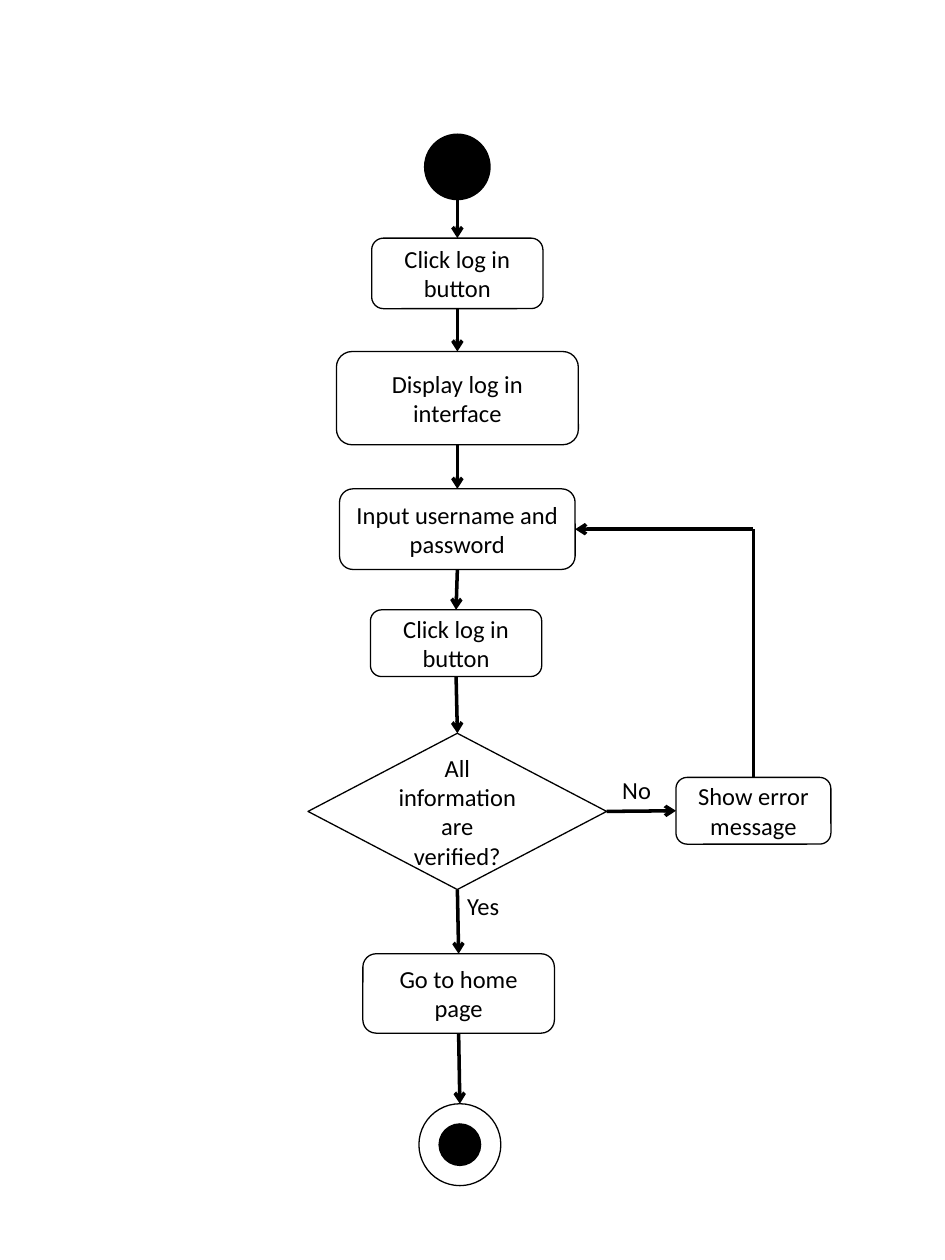
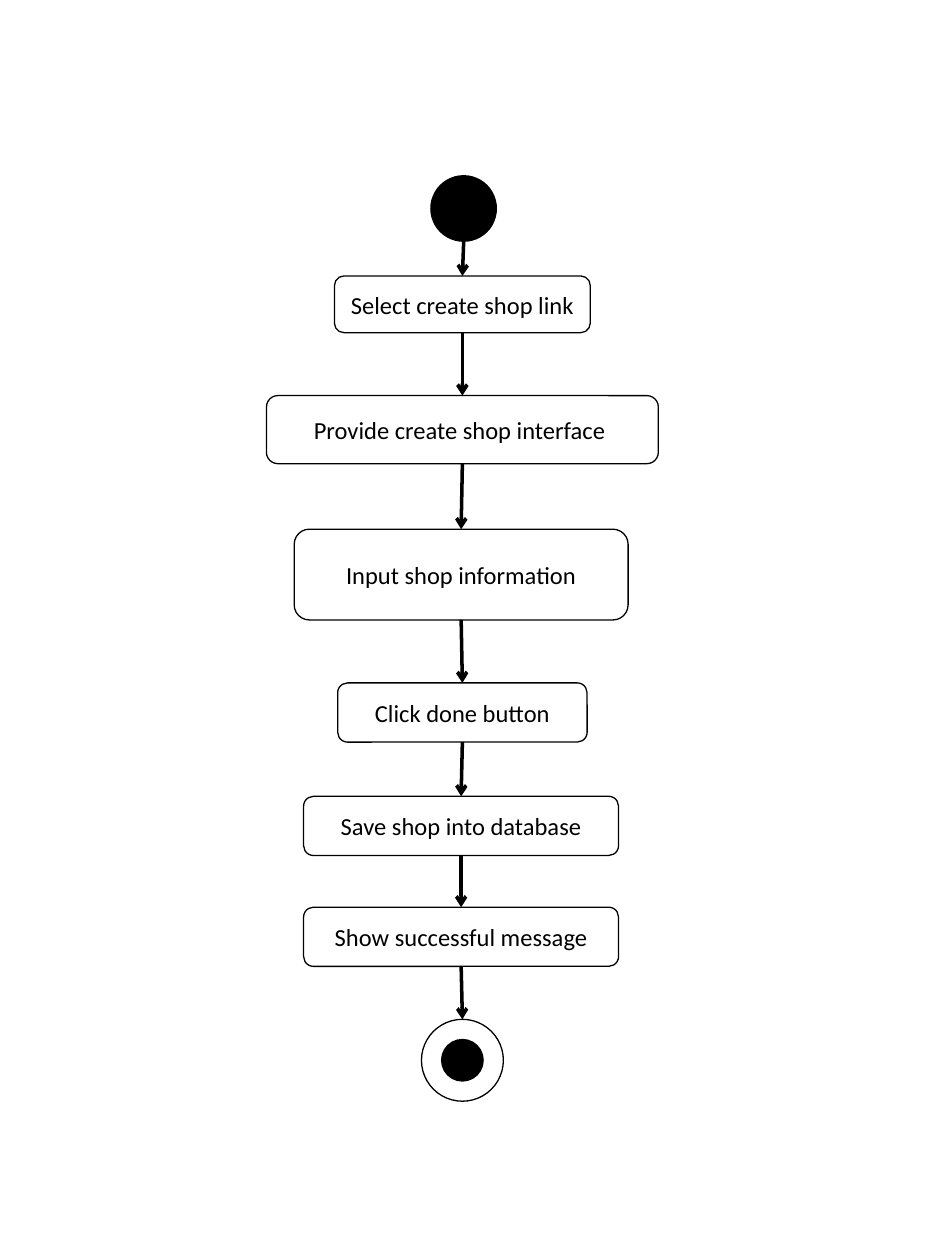
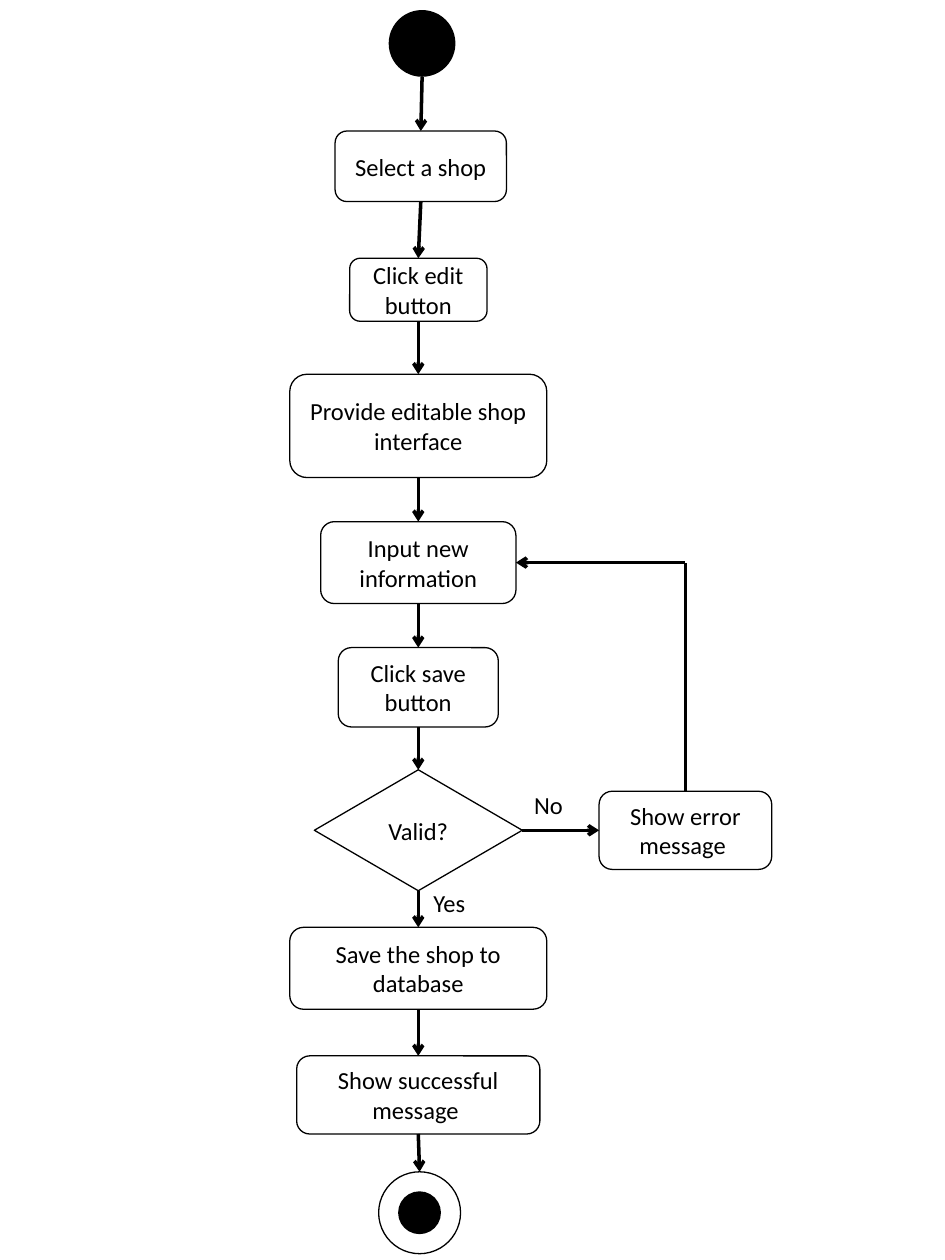
from dataclasses import dataclass

from lxml.etree import SubElement
from pptx import Presentation
from pptx.dml.color import RGBColor
from pptx.enum.shapes import MSO_CONNECTOR, MSO_SHAPE
from pptx.enum.text import MSO_ANCHOR, MSO_AUTO_SIZE, PP_ALIGN
from pptx.oxml.ns import qn
from pptx.util import Inches, Pt


@dataclass(frozen=True)
class Theme:
    """Colours, type and sizes (inches and points) shared by all diagrams."""
    ink: RGBColor = RGBColor(0, 0, 0)
    paper: RGBColor = RGBColor(255, 255, 255)
    font: str = "Calibri"
    text_size: float = 14
    outline: float = 0.75
    arrow: float = 2
    start_size: float = 0.53
    ring_size: float = 0.65
    dot_size: float = 0.34
    label_height: float = 0.34


THEME = Theme()
TOP, LEFT, BOTTOM, RIGHT = range(4)  # connection sites of boxes and diamonds

# start and end: centre x, top.  steps: text, centre x, top, width, height.
# branch: the step that decides, the step returned to, the error box and labels.
DIAGRAMS = [
    {
        "start": (3.63, 1.06),
        "end": (3.65, 8.76),
        "steps": [
            ("Click log in button", 3.63, 1.89, 1.36, 0.56),
            ("Display log in interface", 3.63, 2.79, 1.92, 0.74),
            ("Input username and password", 3.63, 3.88, 1.87, 0.64),
            ("Click log in button", 3.62, 4.84, 1.36, 0.53),
            ("All information are verified?", 3.63, 5.82, 2.37, 1.24),
            ("Go to home page", 3.64, 7.57, 1.52, 0.63),
        ],
        "branch": {
            "decision": 4,
            "retry": 2,
            "error": ("Show error message", 5.98, 6.17, 1.23, 0.53),
            "labels": [("Yes", 3.61, 7.02, 0.65), ("No", 4.84, 6.1, 0.47)],
        },
    },
    {
        "start": (3.68, 1.39),
        "end": (3.67, 8.09),
        "steps": [
            ("Select create shop link", 3.67, 2.19, 2.03, 0.45),
            ("Provide create shop interface ", 3.67, 3.14, 3.11, 0.54),
            ("Input shop information", 3.66, 4.2, 2.65, 0.72),
            ("Click done button", 3.67, 5.42, 1.98, 0.47),
            ("Save shop into database", 3.66, 6.32, 2.5, 0.47),
            ("Show successful message", 3.66, 7.2, 2.5, 0.47),
        ],
    },
    {
        "start": (3.35, 0.08),
        "end": (3.33, 9.3),
        "steps": [
            ("Select a shop", 3.34, 1.04, 1.36, 0.56),
            ("Click edit button", 3.32, 2.05, 1.09, 0.5),
            ("Provide editable shop interface", 3.32, 2.97, 2.04, 0.82),
            ("Input new information", 3.32, 4.14, 1.55, 0.65),
            ("Click save button", 3.32, 5.14, 1.27, 0.63),
            ("Valid?", 3.32, 6.11, 1.65, 0.96),
            ("Save the shop to database", 3.32, 7.36, 2.04, 0.65),
            ("Show successful message ", 3.32, 8.38, 1.93, 0.62),
        ],
        "branch": {
            "decision": 5,
            "retry": 3,
            "error": ("Show error message ", 5.44, 6.28, 1.37, 0.62),
            "labels": [("Yes", 3.34, 7, 0.65), ("No", 4.14, 6.22, 0.47)],
        },
    },
]


def write(shape, text, **frame_format):
    """Put themed text in a shape and apply the text frame settings."""
    frame = shape.text_frame
    for name, value in frame_format.items():
        setattr(frame, name, value)
    paragraph = frame.paragraphs[0]
    run = paragraph.add_run()
    run.text = text
    font_format = {"name": THEME.font, "size": Pt(THEME.text_size)}
    for name, value in font_format.items():
        setattr(run.font, name, value)
    run.font.color.rgb = THEME.ink
    return paragraph


def add_outline(slide, kind, centre, top, width, height, solid=False):
    """Add a shape centred on an x: solid black, or white with a thin line."""
    shape = slide.shapes.add_shape(
        kind, Inches(centre - width / 2), Inches(top), Inches(width), Inches(height))
    shape.shadow.inherit = False
    shape.fill.solid()
    shape.fill.fore_color.rgb = THEME.ink if solid else THEME.paper
    if solid:
        shape.line.fill.background()
    else:
        shape.line.color.rgb = THEME.ink
        shape.line.width = Pt(THEME.outline)
    return shape


def add_step(slide, step, kind=MSO_SHAPE.ROUNDED_RECTANGLE):
    """Add one box or diamond with centred text."""
    text, *place = step
    shape = add_outline(slide, kind, *place)
    paragraph = write(shape, text, word_wrap=True, vertical_anchor=MSO_ANCHOR.MIDDLE)
    paragraph.alignment = PP_ALIGN.CENTER
    return shape


def add_label(slide, text, left, top, width):
    """Add the word beside an arrow that leaves a decision."""
    box = slide.shapes.add_textbox(
        Inches(left), Inches(top), Inches(width), Inches(THEME.label_height))
    write(box, text, word_wrap=True, auto_size=MSO_AUTO_SIZE.SHAPE_TO_FIT_TEXT)


def site_point(shape, site):
    """Return the point in the middle of one side of a shape."""
    middle_x = shape.left + shape.width // 2
    middle_y = shape.top + shape.height // 2
    return {
        TOP: (middle_x, shape.top),
        LEFT: (shape.left, middle_y),
        BOTTOM: (middle_x, shape.top + shape.height),
        RIGHT: (shape.left + shape.width, middle_y),
    }[site]


def add_line(slide, begin, end, begin_glue=None, end_glue=None, arrow=True):
    """Draw a thick line between points, glued to (shape, site) where given."""
    line = slide.shapes.add_connector(MSO_CONNECTOR.STRAIGHT, *begin, *end)
    if begin_glue:
        line.begin_connect(*begin_glue)
    if end_glue:
        line.end_connect(*end_glue)
    line.line.color.rgb = THEME.ink
    line.line.width = Pt(THEME.arrow)
    if arrow:
        SubElement(line.line._get_or_add_ln(), qn("a:tailEnd"), type="arrow")
    SubElement(line._element.spPr, qn("a:effectLst"))


def join(slide, source, target, source_site=BOTTOM, target_site=TOP, glue_source=True):
    """Draw an arrow from one shape to another."""
    add_line(slide, site_point(source, source_site), site_point(target, target_site),
             (source, source_site) if glue_source else None, (target, target_site))


def add_branch(slide, steps, branch):
    """Add the error box, its way back to an earlier step, and the labels."""
    error = add_step(slide, branch["error"])
    retry = steps[branch["retry"]]
    join(slide, steps[branch["decision"]], error, RIGHT, LEFT)
    leave, arrive = site_point(error, TOP), site_point(retry, RIGHT)
    corner = (leave[0], arrive[1])
    add_line(slide, leave, corner, begin_glue=(error, TOP), arrow=False)
    add_line(slide, corner, arrive, end_glue=(retry, RIGHT))
    for label in branch["labels"]:
        add_label(slide, *label)


def add_diagram(presentation, diagram):
    """Add a slide with one activity diagram."""
    slide = presentation.slides.add_slide(presentation.slide_layouts[6])
    branch = diagram.get("branch")
    circle = MSO_SHAPE.OVAL
    start = add_outline(slide, circle, *diagram["start"],
                        THEME.start_size, THEME.start_size, solid=True)
    centre, top = diagram["end"]
    ring = add_outline(slide, circle, centre, top, THEME.ring_size, THEME.ring_size)
    inset = (THEME.ring_size - THEME.dot_size) / 2
    add_outline(slide, circle, centre, top + inset,
                THEME.dot_size, THEME.dot_size, solid=True)

    steps = []
    for index, step in enumerate(diagram["steps"]):
        decides = branch and index == branch["decision"]
        kind = MSO_SHAPE.FLOWCHART_DECISION if decides else MSO_SHAPE.ROUNDED_RECTANGLE
        steps.append(add_step(slide, step, kind))

    chain = [start, *steps, ring]
    for source, target in zip(chain, chain[1:]):
        join(slide, source, target, glue_source=source is not start)
    if branch:
        add_branch(slide, steps, branch)


presentation = Presentation()
presentation.slide_width = Inches(7.5)
presentation.slide_height = Inches(10)
for diagram in DIAGRAMS:
    add_diagram(presentation, diagram)
presentation.save("out.pptx")
